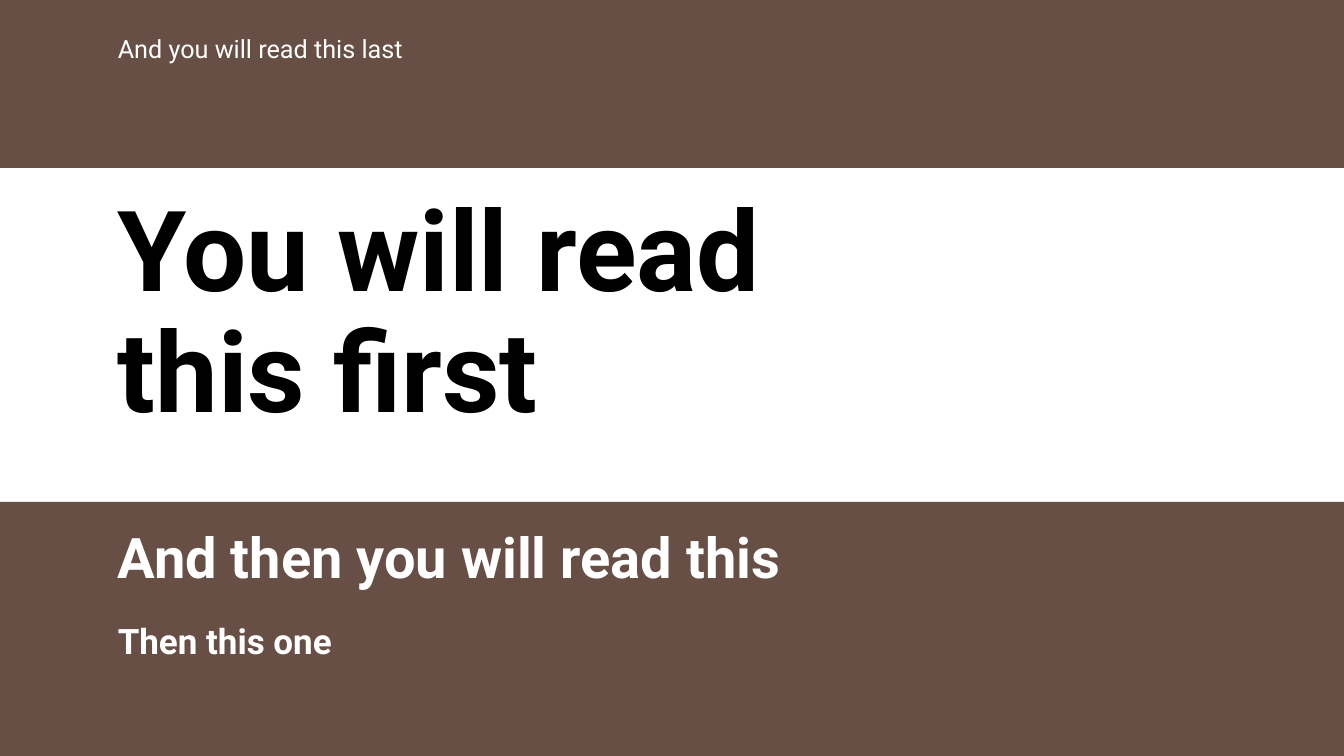
from dataclasses import dataclass

from pptx import Presentation
from pptx.dml.color import RGBColor as Rgb
from pptx.enum.shapes import MSO_SHAPE as Preset
from pptx.enum.text import MSO_ANCHOR as Anchor
from pptx.util import Cm, Pt


@dataclass(frozen=True)
class Theme:
    font: str = "Roboto"
    brown: str = "684F45"
    white: str = "FFFFFF"
    black: str = "000000"
    first: int = 80
    second: int = 40
    third: int = 25
    last: int = 18


class ReadingOrderSlide:
    def __init__(self, deck, theme):
        self.theme = theme
        self.width = deck.slide_width
        self.slide = deck.slides.add_slide(deck.slide_layouts[6])

    def band(self, top, height, color):
        """Add a full-width colour band; lengths in centimetres."""
        band = self.slide.shapes.add_shape(
            Preset.RECTANGLE, 0, Cm(top), self.width, Cm(height))
        band.shadow.inherit = False
        band.fill.solid()
        band.fill.fore_color.rgb = Rgb.from_string(color)
        band.line.fill.background()

    def text(self, text, *, top, size, color, bold=True, width=17.32, height=2.01):
        """Add a left-aligned line of text on the common margin, in centimetres."""
        box = self.slide.shapes.add_textbox(Cm(2.72), Cm(top), Cm(width), Cm(height))
        frame = box.text_frame
        frame.word_wrap = True
        frame.vertical_anchor = Anchor.TOP
        paragraph = frame.paragraphs[0]
        paragraph.line_spacing = 0.9
        run = paragraph.add_run()
        run.text = text
        run.font.name = self.theme.font
        run.font.size = Pt(size)
        run.font.bold = bold
        run.font.color.rgb = Rgb.from_string(color)


def main():
    deck = Presentation()
    deck.slide_width, deck.slide_height = Cm(33.87), Cm(19.05)
    theme = Theme()
    page = ReadingOrderSlide(deck, theme)

    band_top = 0
    for height, color in ((4.24, theme.brown), (8.41, theme.white), (6.4, theme.brown)):
        page.band(band_top, height, color)
        band_top += height

    page.text("You will read this first", top=4.78, size=theme.first,
              color=theme.black, width=18.85, height=6.91)
    page.text("And then you will read this", top=13.23, size=theme.second,
              color=theme.white)
    page.text("Then this one", top=15.6, size=theme.third, color=theme.white)
    page.text("And you will read this last", top=0.81, size=theme.last,
              color=theme.white, bold=False)

    deck.save("out.pptx")


if __name__ == "__main__":
    main()
